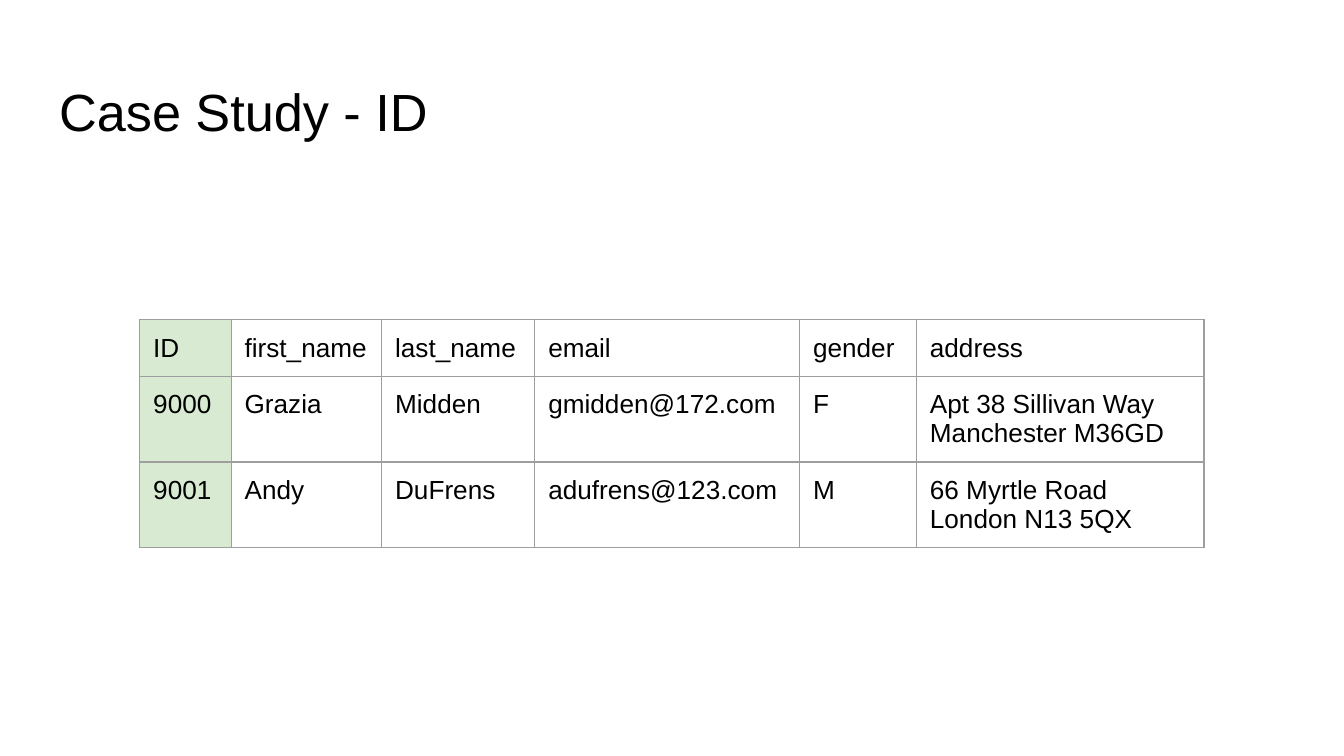
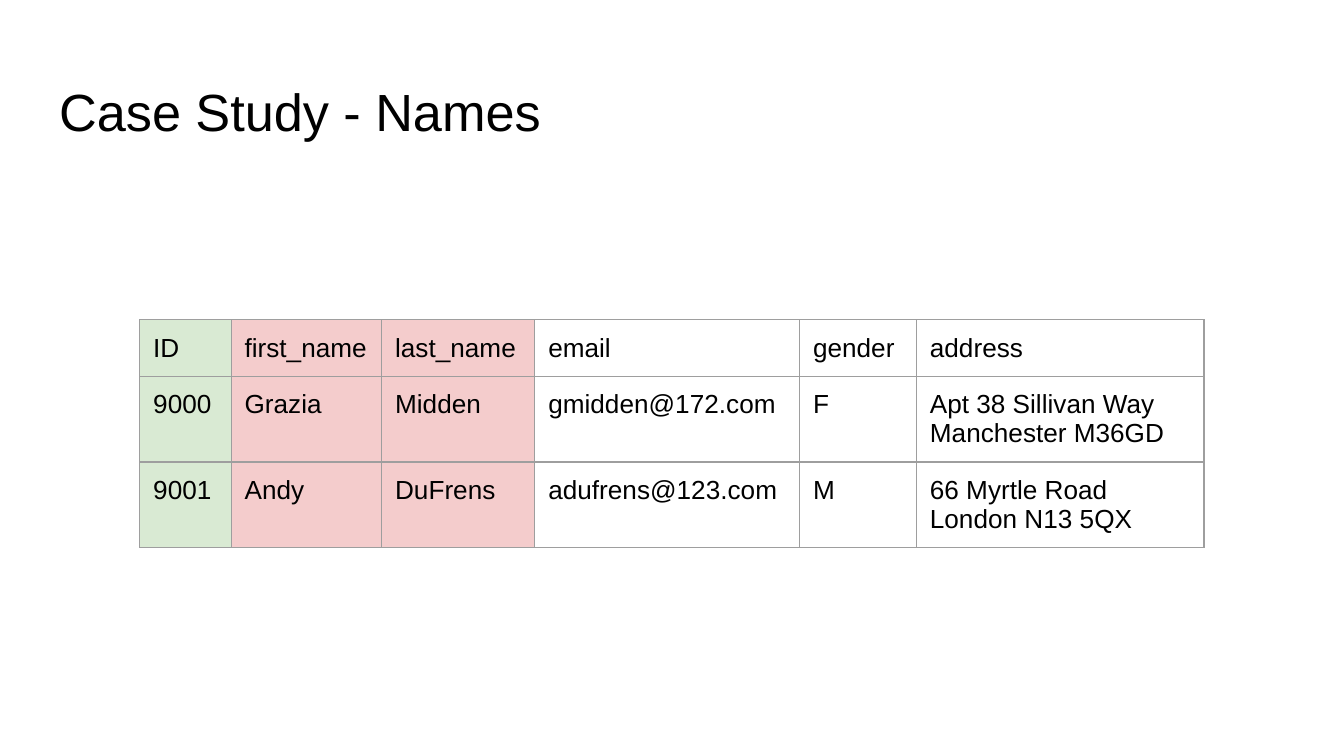
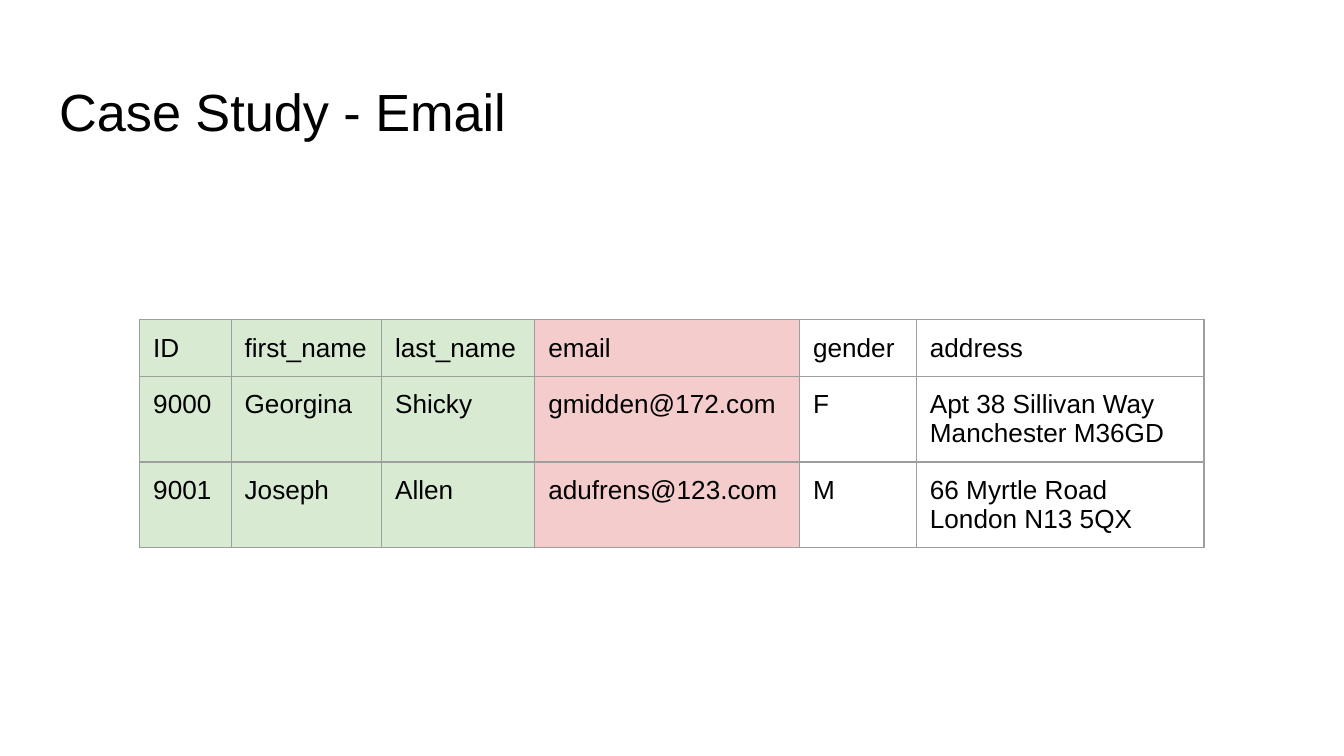
from lxml import etree
from pptx import Presentation
from pptx import util as u
from pptx.dml.color import RGBColor
from pptx.enum import text
from pptx.oxml import ns

# Content
HEADS = ["ID", "first_name", "last_name", "email", "gender", "address"]
ROWS = [
    ["9000", "Grazia", "Midden", "gmidden@172.com", "F",
     "Apt 38 Sillivan Way Manchester M36GD"],
    ["9001", "Andy", "DuFrens", "adufrens@123.com", "M",
     "66 Myrtle Road London N13 5QX"],
]
ALIAS = [("Georgina", "Shicky"), ("Joseph", "Allen")]
MASKED = [[row[0], *names, *row[3:]] for row, names in zip(ROWS, ALIAS)]

# Title, records, columns done (green), columns in focus (red)
SLIDES = [
    ("Case Study - ID", ROWS, ["ID"], []),
    ("Case Study - Names", ROWS, ["ID"], ["first_name", "last_name"]),
    ("Case Study - Email", MASKED, ["ID", "first_name", "last_name"], ["email"]),
]

# Shared style
COLORS = {"text": "000000", "line": "9E9E9E", "done": "D9EAD3", "focus": "F4CCCC"}
FONT = "Arial"
WIDE, HIGH = 10, 5.625
SIDE, TOP = 0.34, 0.49
LEFT, DOWN = 1.04, 2.38
COLS = [0.68, 1.12, 1.14, 1.97, 0.87, 2.14]
ROW = 0.42
PAD = u.Inches(0.1)


def color(name):
    return RGBColor.from_string(COLORS[name])


def write(part, words, size):
    """Fill a text frame or cell with one styled paragraph."""
    part.margin_left = part.margin_right = PAD
    part.margin_top = part.margin_bottom = PAD
    part.vertical_anchor = text.MSO_ANCHOR.TOP
    frame = getattr(part, "text_frame", part)
    frame.text = words
    para = frame.paragraphs[0]
    para.alignment = text.PP_ALIGN.LEFT
    para.font.name, para.font.size = FONT, u.Pt(size)
    para.font.bold = False
    para.font.color.rgb = color("text")


def border(cell):
    props = cell._tc.get_or_add_tcPr()
    for side in ("a:lnL", "a:lnR", "a:lnT", "a:lnB"):
        line = etree.SubElement(props, ns.qn(side), w=str(u.Pt(0.75)))
        fill = etree.SubElement(line, ns.qn("a:solidFill"))
        etree.SubElement(fill, ns.qn("a:srgbClr"), val=COLORS["line"])


def add_title(slide, words):
    title = slide.shapes.title
    title.left, title.top = u.Inches(SIDE), u.Inches(TOP)
    title.width, title.height = u.Inches(WIDE - 2 * SIDE), u.Inches(0.63)
    write(title.text_frame, words, 28)
    title.text_frame.auto_size = text.MSO_AUTO_SIZE.NONE


def add_grid(slide, rows, done, focus):
    cells = [HEADS, *rows]
    frame = slide.shapes.add_table(
        len(cells), len(HEADS), u.Inches(LEFT), u.Inches(DOWN),
        u.Inches(sum(COLS)), u.Inches(ROW * len(cells)))
    grid = frame.table
    grid.first_row = grid.horz_banding = False
    for col, width in zip(grid.columns, COLS):
        col.width = u.Inches(width)
    for r, row in enumerate(cells):
        for c, (head, words) in enumerate(zip(HEADS, row)):
            cell = grid.cell(r, c)
            write(cell, words, 14)
            border(cell)
            if head in done + focus:
                cell.fill.solid()
                cell.fill.fore_color.rgb = color("done" if head in done else "focus")
            else:
                cell.fill.background()


def main():
    deck = Presentation()
    deck.slide_width, deck.slide_height = u.Inches(WIDE), u.Inches(HIGH)
    for title, rows, done, focus in SLIDES:
        slide = deck.slides.add_slide(deck.slide_layouts.get_by_name("Title Only"))
        add_title(slide, title)
        add_grid(slide, rows, done, focus)
    deck.save("out.pptx")


if __name__ == "__main__":
    main()
